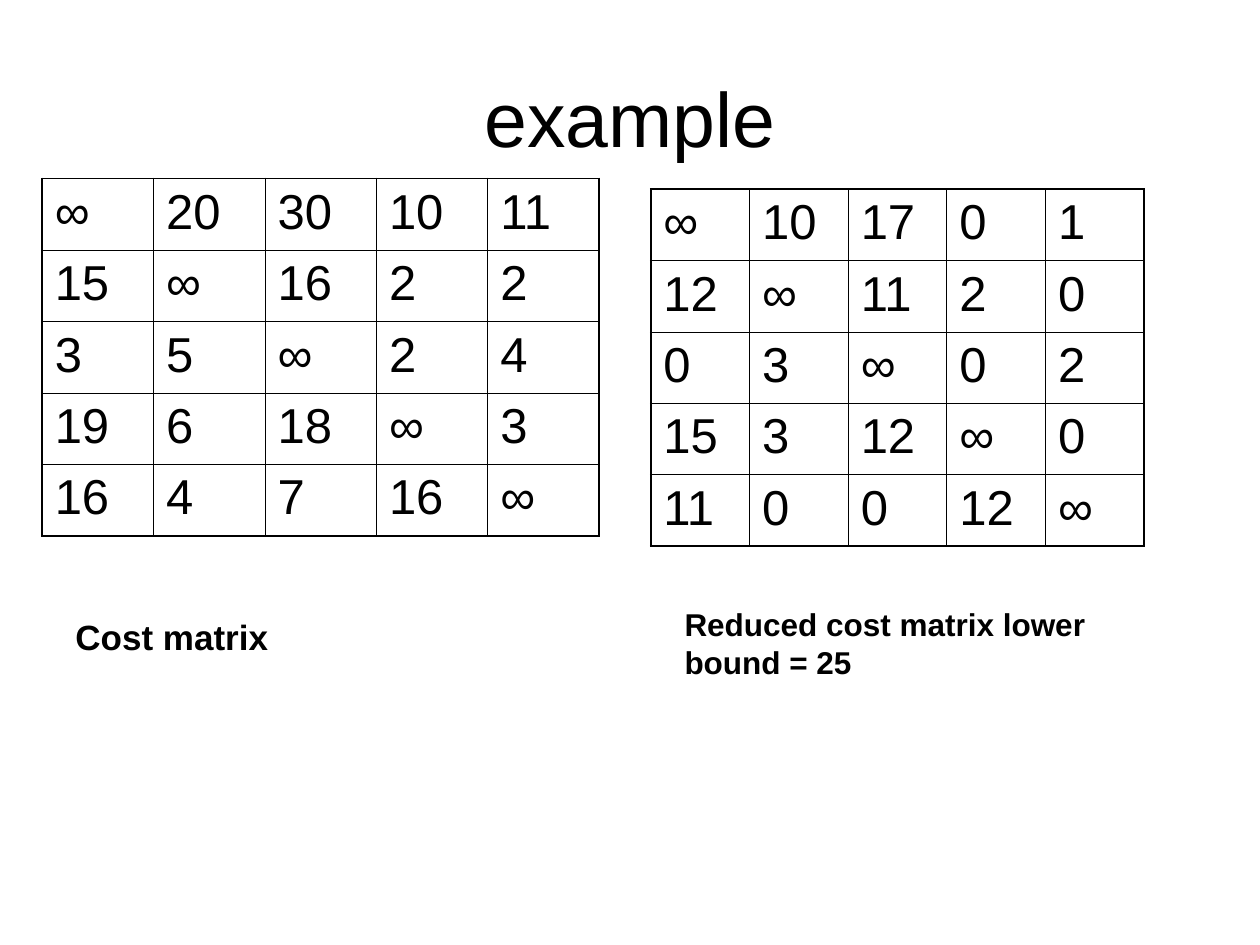
import pptx
import pptx.dml.color
import pptx.enum.text
import pptx.oxml
import pptx.oxml.ns
import pptx.util
from pptx.util import Cm

BLACK = pptx.dml.color.RGBColor(0x00, 0x00, 0x00)
THIN, THICK = 0.45, 1.08

COST = [
    ["∞", "20", "30", "10", "11"],
    ["15", "∞", "16", "2", "2"],
    ["3", "5", "∞", "2", "4"],
    ["19", "6", "18", "∞", "3"],
    ["16", "4", "7", "16", "∞"],
]
REDUCED = [
    ["∞", "10", "17", "0", "1"],
    ["12", "∞", "11", "2", "0"],
    ["0", "3", "∞", "0", "2"],
    ["15", "3", "12", "∞", "0"],
    ["11", "0", "0", "12", "∞"],
]


class MatrixSlide:
    """Hold the shared text style and the slide being built."""

    def __init__(self, prs):
        self.s = prs.slides.add_slide(prs.slide_layouts[5])
        self.font = "Arial"
        self.color = BLACK

    def add_text(self, tf, text, size, bold=False, **formats):
        p = tf.paragraphs[0]
        for name, value in formats.items():
            setattr(p, name, value)
        r = p.add_run()
        r.text = text
        style = {"name": self.font, "size": pptx.util.Pt(size), "bold": bold}
        for name, value in style.items():
            setattr(r.font, name, value)
        r.font.color.rgb = self.color

    def title(self, text, left, top, width, height):
        sp = self.s.shapes.title
        box = {"left": left, "top": top, "width": width, "height": height}
        for name, value in box.items():
            setattr(sp, name, Cm(value))
        sp.text_frame.vertical_anchor = pptx.enum.text.MSO_ANCHOR.MIDDLE
        self.add_text(sp.text_frame, text, 44, alignment=pptx.enum.text.PP_ALIGN.CENTER)

    def border(self, cell, widths):
        tcPr = cell._tc.get_or_add_tcPr()
        for i, (side, width) in enumerate(widths.items()):
            ln = pptx.oxml.parse_xml(
                f'<a:ln{side} {pptx.oxml.ns.nsdecls("a")} w="{pptx.util.Pt(width)}">'
                f'<a:solidFill><a:srgbClr val="{self.color}"/></a:solidFill></a:ln{side}>'
            )
            tcPr.insert(i, ln)

    def matrix(self, rows, left, top, width, height):
        n, m = len(rows), len(rows[0])
        table = self.s.shapes.add_table(n, m, Cm(left), Cm(top), Cm(width), Cm(height)).table
        for name in ("first_row", "horz_banding"):
            setattr(table, name, False)
        for i, row in enumerate(rows):
            for j, text in enumerate(row):
                cell = table.cell(i, j)
                cell.fill.background()
                self.add_text(cell.text_frame, text, 28, space_before=pptx.util.Pt(7))
                outer = {"L": j == 0, "R": j == m - 1, "T": i == 0, "B": i == n - 1}
                self.border(cell, {k: THICK if v else THIN for k, v in outer.items()})

    def caption(self, text, size, left, top, width, height):
        tf = self.s.shapes.add_textbox(Cm(left), Cm(top), Cm(width), Cm(height)).text_frame
        formats = {"word_wrap": True, "auto_size": pptx.enum.text.MSO_AUTO_SIZE.SHAPE_TO_FIT_TEXT}
        for name, value in formats.items():
            setattr(tf, name, value)
        self.add_text(tf, text, size, bold=True, space_before=pptx.util.Pt(size * 0.625))


def main():
    prs = pptx.Presentation()
    prs.slide_width, prs.slide_height = Cm(25.4), Cm(19.05)
    slide = MatrixSlide(prs)
    slide.title("example", 1.27, 0.76, 22.86, 3.18)
    slide.matrix(COST, 0.85, 3.6, 11.23, 7.2)
    slide.matrix(REDUCED, 13.12, 3.81, 9.95, 7.2)
    slide.caption("Reduced cost matrix lower bound = 25", 18, 13.55, 12.07, 9.1, 1.78)
    slide.caption("Cost matrix", 20, 1.27, 12.28, 10.37, 1.11)
    prs.save("out.pptx")


if __name__ == "__main__":
    main()
